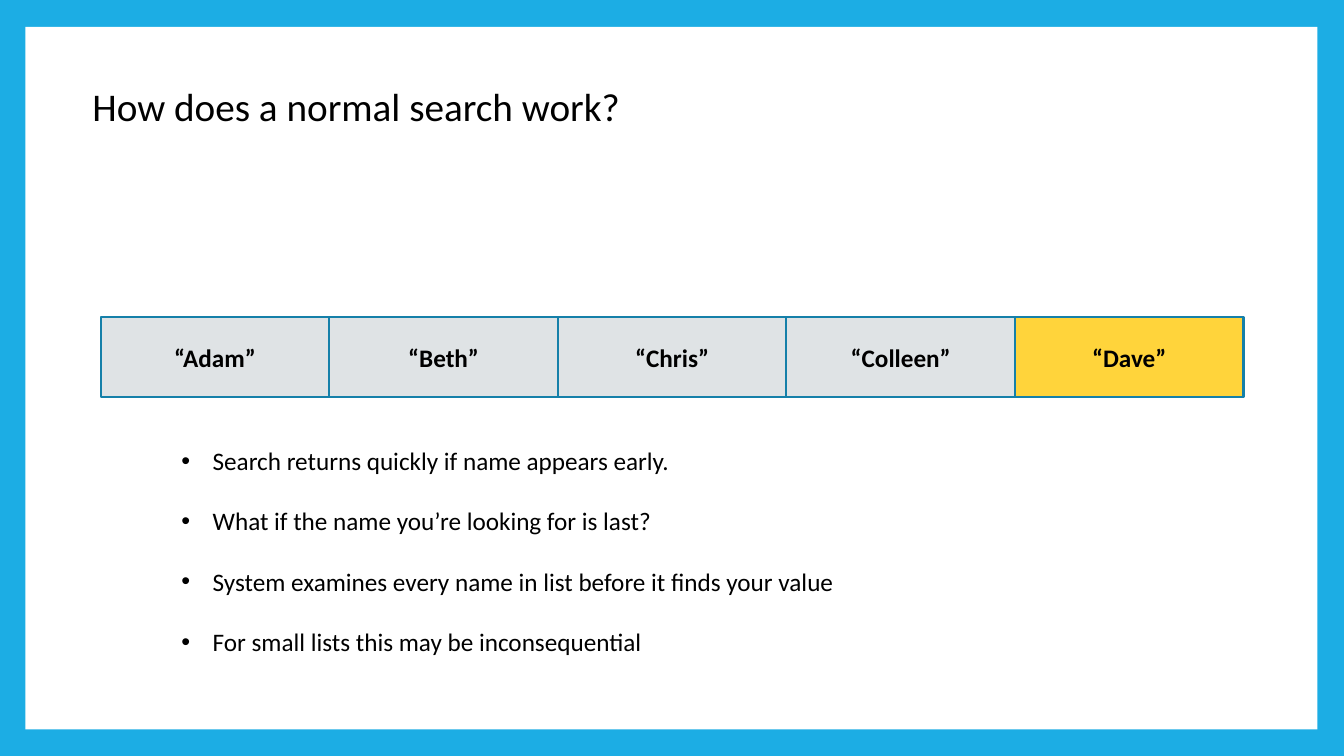
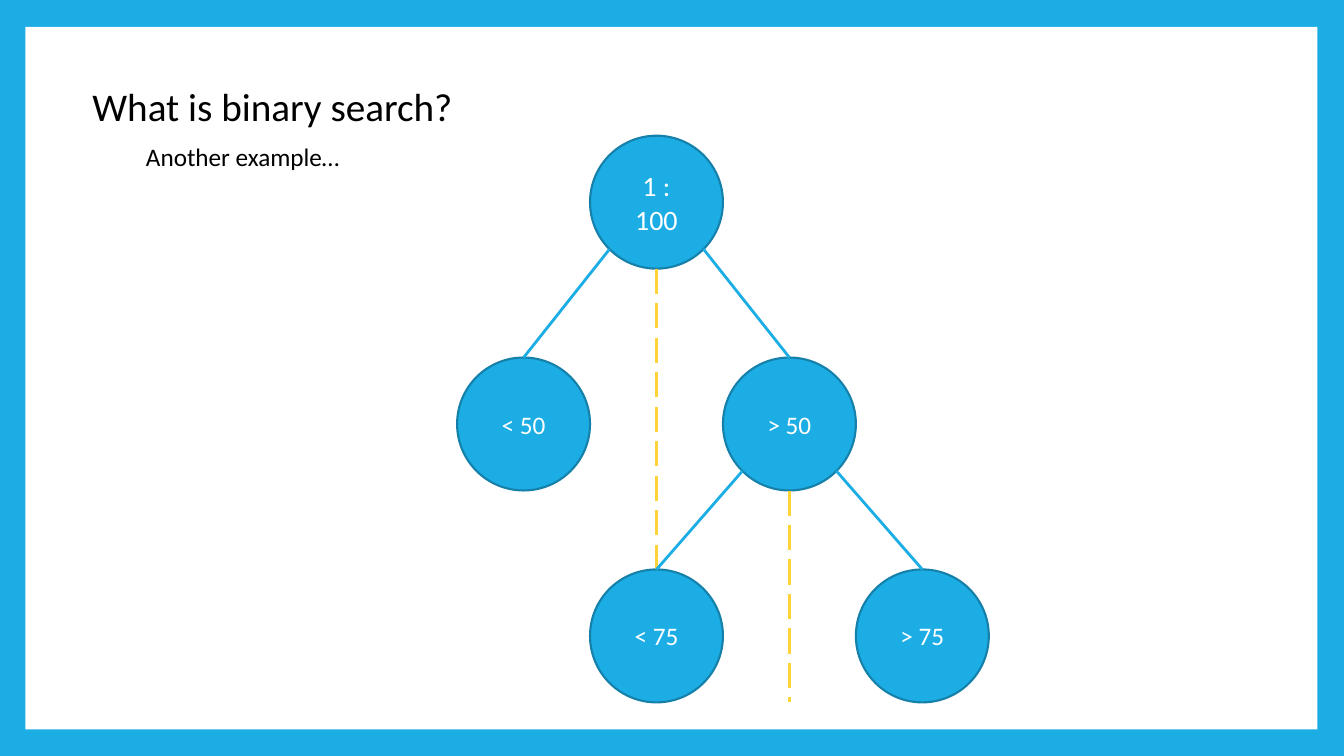
from math import sqrt

from pptx import Presentation
from pptx.dml.color import RGBColor
from pptx.enum.dml import MSO_LINE_DASH_STYLE as Dash
from pptx.enum.shapes import MSO_CONNECTOR as Connector, MSO_SHAPE as Shape
from pptx.enum.text import MSO_ANCHOR as Anchor, PP_ALIGN as Align
from pptx.oxml.ns import qn
from pptx.util import Cm, Pt
from lxml.etree import SubElement

FONT = "Calibri"
BLUE, EDGE, GOLD = "1CADE4", "1580A9", "FFD43B"
GREY, WHITE, BLACK = "DFE3E5", "FFFFFF", "000000"
SLIDE_SIZE = (33.87, 19.05)
PANEL = (0.64, 0.68, 32.56, 17.7)


def color(hex_code):
    """Turn a hex string into a colour."""
    return RGBColor.from_string(hex_code)


def lengths(values):
    """Turn centimetre numbers into slide lengths."""
    return [Cm(value) for value in values]


def write(paragraph, text, size=18, ink=BLACK, bold=False):
    """Put one formatted run into a paragraph."""
    run = paragraph.add_run()
    run.text = text
    run.font.color.rgb = color(ink)
    for key, value in {"name": FONT, "size": Pt(size), "bold": bold}.items():
        setattr(run.font, key, value)


def add_block(slide, kind, box, fill, edge=None):
    """Draw a flat filled shape in a box."""
    block = slide.shapes.add_shape(kind, *lengths(box))
    block.shadow.inherit = False
    block.fill.solid()
    block.fill.fore_color.rgb = color(fill)
    if edge:
        block.line.color.rgb = color(edge)
        block.line.width = Pt(1.5)
    else:
        block.line.fill.background()
    return block


def add_label(slide, kind, box, fill, text, **style):
    """Draw an outlined shape with centred text."""
    block = add_block(slide, kind, box, fill, EDGE)
    block.text_frame.vertical_anchor = Anchor.MIDDLE
    paragraph = block.text_frame.paragraphs[0]
    paragraph.alignment = Align.CENTER
    write(paragraph, text, **style)
    return block


def add_line(slide, start, end, ink, width, dash=None):
    """Draw a straight line between two points."""
    line = slide.shapes.add_connector(Connector.STRAIGHT, *lengths(start + end))
    line.line.color.rgb = color(ink)
    line.line.width = Pt(width)
    if dash:
        line.line.dash_style = dash
    SubElement(line._element.spPr, qn("a:effectLst"))
    return line


def add_text(slide, box, text, size):
    """Place one line of text."""
    frame = slide.shapes.add_textbox(*lengths(box)).text_frame
    frame.word_wrap = False
    write(frame.paragraphs[0], text, size)


def add_framed_slide(deck, title, title_width):
    """Start a slide with the blue frame, white panel and title."""
    slide = deck.slides.add_slide(deck.slide_layouts[6])
    slide.background.fill.solid()
    slide.background.fill.fore_color.rgb = color(BLUE)
    add_block(slide, Shape.RECTANGLE, PANEL, WHITE)
    add_text(slide, (2.08, 1.96, title_width, 1.45), title, 28)
    return slide


def add_name_row(slide, box, names, found):
    """Split a box into equal name cells and highlight the found one."""
    left, top, width, height = box
    cell = width / len(names)
    for column, name in enumerate(names):
        add_label(slide, Shape.RECTANGLE, (left + column * cell, top, cell, height),
                  GOLD if name == found else GREY, f"“{name}”", bold=True)


def add_bullets(slide, box, points):
    """Write a bulleted list with a line of space between points."""
    frame = slide.shapes.add_textbox(*lengths(box)).text_frame
    frame.word_wrap = True
    for number, point in enumerate(points):
        paragraph = frame.add_paragraph() if number else frame.paragraphs[0]
        paragraph.space_after = Pt(21.5)
        properties = paragraph._p.get_or_add_pPr()
        for key, value in {"marL": Cm(0.79), "indent": -Cm(0.79)}.items():
            properties.set(key, str(value))
        SubElement(properties, qn("a:buFont"), typeface="Arial")
        SubElement(properties, qn("a:buChar"), char="•")
        write(paragraph, point)


def add_search_tree(slide, box):
    """Draw the binary tree with its dividing lines in a box."""
    left, top, width, height = box
    size = width / 4
    tops = [top, top + 5.59, top + height - size]
    nodes = {
        "1 : 100": (1, 0, 20),
        "< 50": (0, 1, 18),
        "> 50": (2, 1, 18),
        "< 75": (1, 2, 18),
        "> 75": (3, 2, 18),
    }
    circles = {
        text: add_label(slide, Shape.OVAL, (left + column * size, tops[level], size, size),
                        BLUE, text, size=points, ink=WHITE)
        for text, (column, level, points) in nodes.items()
    }
    for parent, floor in (("1 : 100", tops[2]), ("> 50", top + height)):
        column, level, _ = nodes[parent]
        middle = left + (column + 0.5) * size
        add_line(slide, (middle, tops[level] + size), (middle, floor),
                 GOLD, 2.25, Dash.LONG_DASH)
    reach = size / 2 / sqrt(2)
    for parent, children in {"1 : 100": ("< 50", "> 50"), "> 50": ("< 75", "> 75")}.items():
        column, level, _ = nodes[parent]
        middle = left + (column + 0.5) * size
        for side, child in zip((-1, 1), children):
            start = (middle + side * reach, tops[level] + size / 2 + reach)
            end = (middle + side * size, tops[level + 1])
            add_line(slide, start, end, BLUE, 2).end_connect(circles[child], 0)


def build_normal_search(deck):
    """Build the slide on searching a list in order."""
    slide = add_framed_slide(deck, "How does a normal search work?", 13.97)
    add_name_row(slide, (2.54, 8, 28.8, 2),
                 ["Adam", "Beth", "Chris", "Colleen", "Dave"], "Dave")
    add_bullets(slide, (4.32, 11.1, 21.64, 5.64), [
        "Search returns quickly if name appears early.",
        "What if the name you’re looking for is last?",
        "System examines every name in list before it finds your value",
        "For small lists this may be inconsequential",
    ])


def build_binary_search(deck):
    """Build the slide on halving a range of numbers."""
    slide = add_framed_slide(deck, "What is binary search?", 9.7)
    add_text(slide, (3.43, 3.43, 5.61, 1.02), "Another example…", 18)
    add_search_tree(slide, (11.52, 3.42, 13.4, 14.28))


def main():
    """Build and save the deck."""
    deck = Presentation()
    deck.slide_width, deck.slide_height = lengths(SLIDE_SIZE)
    build_normal_search(deck)
    build_binary_search(deck)
    deck.save("out.pptx")


if __name__ == "__main__":
    main()
